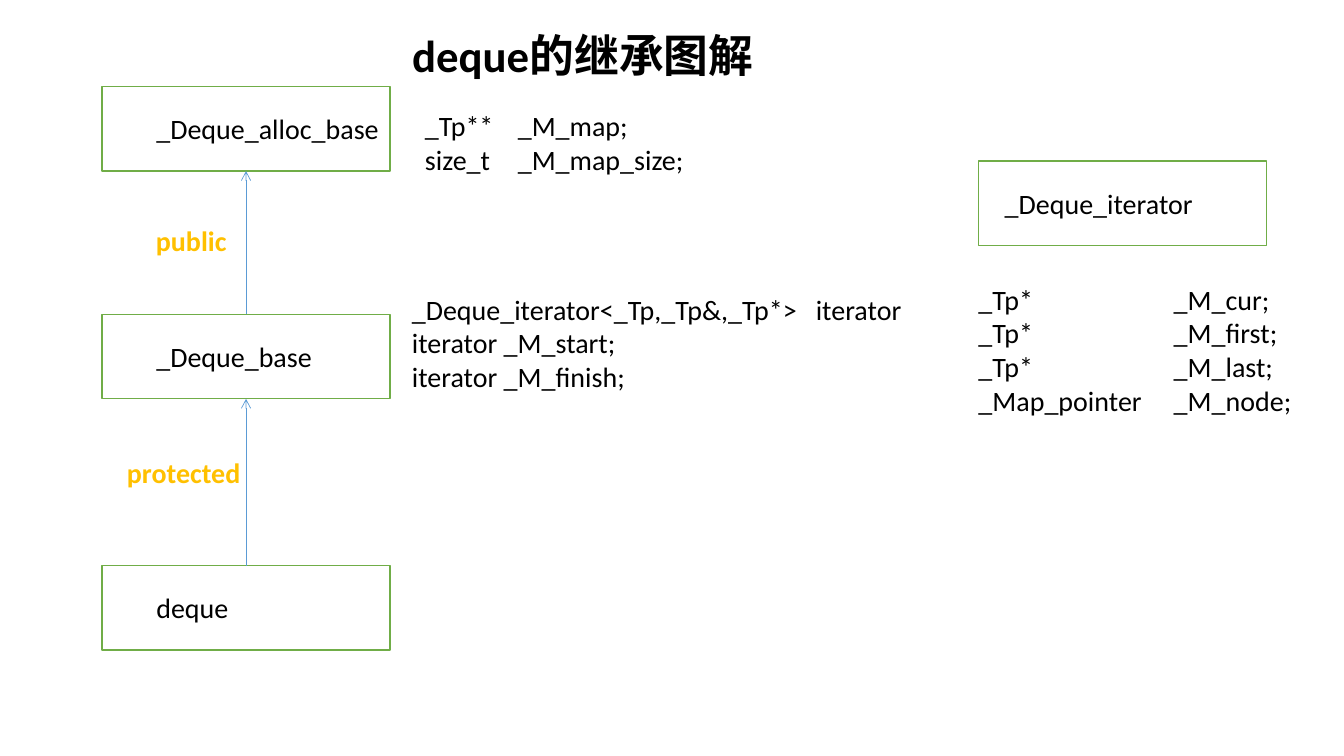
from lxml import etree
from pptx import Presentation
from pptx.dml.color import RGBColor
from pptx.enum.shapes import MSO_CONNECTOR, MSO_SHAPE
from pptx.enum.text import MSO_ANCHOR, MSO_AUTO_SIZE, PP_ALIGN
from pptx.oxml.ns import qn
from pptx.util import Cm, Pt

FONT = "Calibri"
BLACK, WHITE, GREEN, BLUE, GOLD = "000000", "FFFFFF", "70AD47", "5B9BD5", "FFC000"
CLASS_W, CLASS_H = 7.26, 2.13
CHAIN_LEFT = 2.57


def color(hex_code):
    return RGBColor.from_string(hex_code)


def write(frame, lines, size=20, ink=BLACK, bold=False, tab=None):
    """Fill a frame with left-aligned lines; tab is the second column in cm."""
    frame.text = "\n".join(lines)
    for paragraph in frame.paragraphs:
        paragraph.alignment = PP_ALIGN.LEFT
        font = paragraph.font
        font.name, font.size, font.bold = FONT, Pt(size), bold
        font.color.rgb = color(ink)
        if tab:
            props = paragraph._p.get_or_add_pPr()
            stops = etree.Element(qn("a:tabLst"))
            etree.SubElement(stops, qn("a:tab"), pos=str(Cm(tab)), algn="l")
            props.insert_element_before(stops, "a:defRPr", "a:extLst")


def add_title(slide, text):
    title = slide.shapes.title
    title.left, title.top, title.width, title.height = Cm(10.13), Cm(0.56), Cm(17.42), Cm(1.63)
    write(title.text_frame, [text], size=32, bold=True)
    title.text_frame.auto_size = MSO_AUTO_SIZE.NONE
    title.text_frame.vertical_anchor = MSO_ANCHOR.TOP


def add_class(slide, name, left, top, indent):
    box = slide.shapes.add_shape(MSO_SHAPE.RECTANGLE, Cm(left), Cm(top), Cm(CLASS_W), Cm(CLASS_H))
    box.shadow.inherit = False
    box.fill.solid()
    box.fill.fore_color.rgb = color(WHITE)
    box.line.color.rgb = color(GREEN)
    box.line.width = Pt(1)
    frame = box.text_frame
    write(frame, [name])
    frame.margin_left, frame.margin_right = Cm(indent), 0
    frame.vertical_anchor = MSO_ANCHOR.MIDDLE
    return box


def add_text(slide, lines, left, top, width, height, **style):
    box = slide.shapes.add_textbox(Cm(left), Cm(top), Cm(width), Cm(height))
    box.text_frame.word_wrap = True
    write(box.text_frame, lines, **style)


def add_inheritance(slide, child, parent):
    """Arrow from the top of the child to the bottom of its parent."""
    arrow = slide.shapes.add_connector(MSO_CONNECTOR.STRAIGHT, 0, 0, 0, 0)
    arrow.begin_connect(child, 0)
    arrow.end_connect(parent, 2)
    arrow.line.color.rgb = color(BLUE)
    arrow.line.width = Pt(0.5)
    etree.SubElement(arrow.line._get_or_add_ln(), qn("a:tailEnd"), type="arrow")
    etree.SubElement(arrow._element.spPr, qn("a:effectLst"))


def main():
    prs = Presentation()
    prs.slide_width, prs.slide_height = Cm(33.87), Cm(19.05)
    slide = prs.slides.add_slide(prs.slide_layouts[5])
    add_title(slide, "deque的继承图解")

    # Inheritance chain, from base to derived
    chain = [add_class(slide, name, CHAIN_LEFT, top, 1.37)
             for name, top in [("_Deque_alloc_base", 2.18), ("_Deque_base", 7.92), ("deque", 14.25)]]
    for parent, child in zip(chain, chain[1:]):
        add_inheritance(slide, child, parent)
    for access, left, top in [("public", 3.68, 5.51), ("protected", 2.95, 11.35)]:
        add_text(slide, [access], left, top, 4.14, 1.12, ink=GOLD, bold=True)

    # Iterator class
    add_class(slide, "_Deque_iterator", 24.66, 4.06, 0.66)

    # Members of each class
    add_text(slide, ["_Tp**\t_M_map;", "size_t\t_M_map_size;"],
             10.46, 2.62, 9.7, 1.96, tab=2.34)
    add_text(slide, ["_Deque_iterator<_Tp,_Tp&,_Tp*>\titerator",
                     "iterator _M_start;", "iterator _M_finish;"],
             10.13, 7.24, 13.36, 2.82, tab=10.18)
    add_text(slide, ["_Tp*\t_M_cur;", "_Tp*\t_M_first;", "_Tp*\t_M_last;",
                     "_Map_pointer\t_M_node;"],
             24.41, 6.99, 8.87, 3.68, tab=4.92)

    prs.save("out.pptx")


main()
